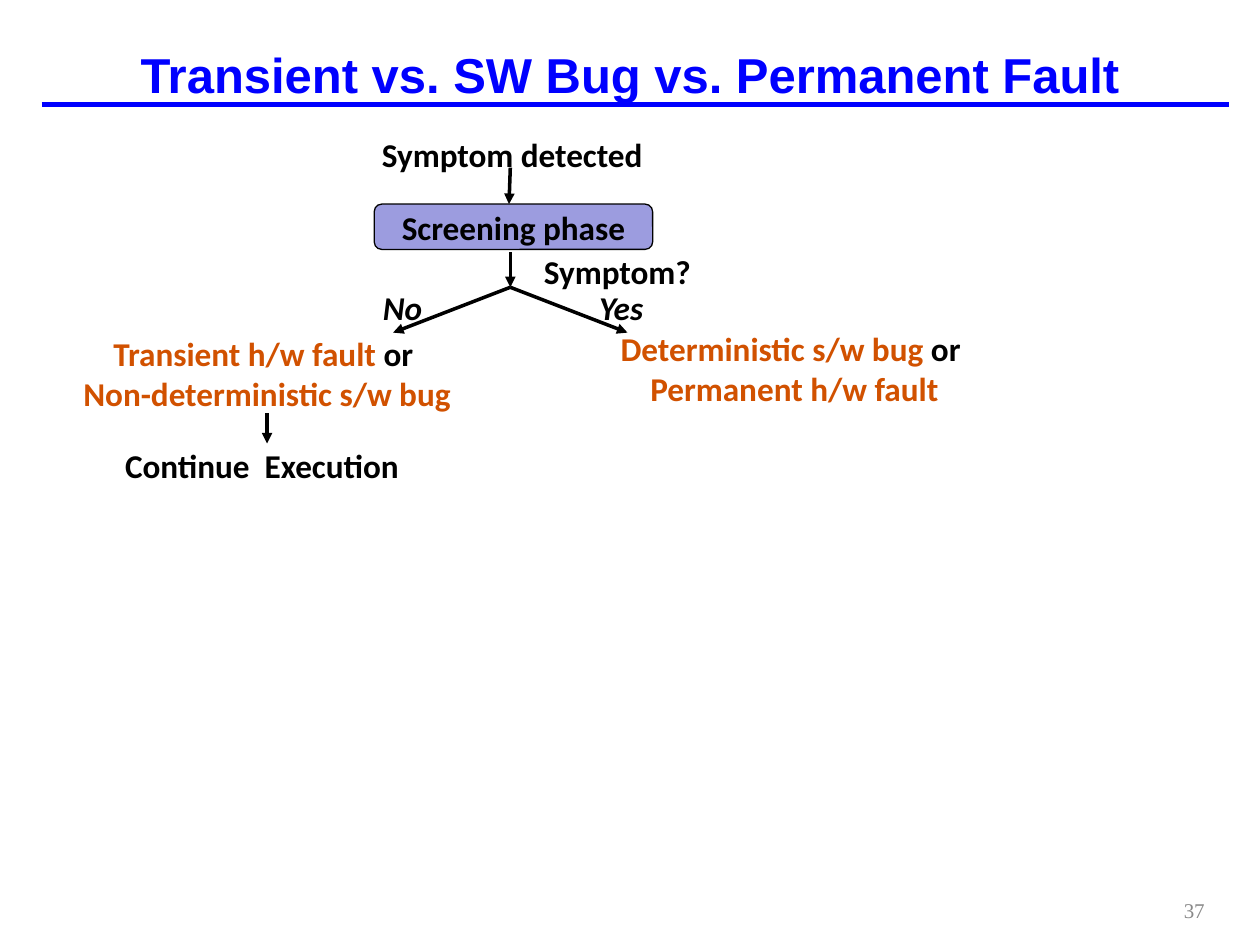
from pptx import Presentation
from pptx.dml.color import RGBColor as RGB
from pptx.enum.shapes import MSO_CONNECTOR as Conn, MSO_SHAPE as Kind
from pptx.enum.text import MSO_ANCHOR as Anchor, PP_ALIGN as Align
from pptx.oxml.ns import qn
from pptx.util import Inches, Pt
from lxml.etree import SubElement as Sub

WIDE, HIGH = 10, 7.5
BLUE, BLACK, RUST, GREY, LILAC = "0000FF", "000000", "D15100", "898989", "9C9CDF"
MID, LEFT = 4.05, 2.12
FORK, LEAF, SPAN = 2.28, 2.64, 0.93

TITLE = "Transient vs. SW Bug vs. Permanent Fault"
LABELS = [
    ("Symptom?", (4.05, 1.93, 1.7, 0.45), False),
    ("No", (2.19, 2.21, 2.01, 0.45), True),
    ("Yes", (4.51, 2.21, 0.84, 0.45), True),
    ("Symptom detected", (2.69, 1, 2.75, 0.45), False),
]
PHASE, HEX = Kind.FLOWCHART_ALTERNATE_PROCESS, Kind.HEXAGON
NODES = [
    (PHASE, (2.97, 1.62, 2.21, 0.36), LILAC, "Screening phase"),
    (PHASE, (0.98, 3.46, 2.2, 0.46), None, "Continue  Execution"),
    (HEX, (0.58, 2.64, 3.08, 0.65), None,
     [[("Transient h/w fault ", RUST), ("or ", BLACK)],
      [("Non-deterministic s/w bug", RUST)]]),
    (HEX, (5.17, 2.71, 2.27, 0.42), None,
     [[("Deterministic s/w bug ", RUST), ("or ", BLACK)],
      [("Permanent h/w fault", RUST)]]),
]
ARROWS = [
    ((MID, 1.33), (MID - 0.01, 1.62)),
    ((MID, 2), (MID, FORK)),
    ((MID, FORK), (MID - SPAN, LEAF)),
    ((MID, FORK), (MID + SPAN, LEAF)),
    ((LEFT, 3.28), (LEFT, 3.52)),
]

deck = Presentation()
deck.slide_width, deck.slide_height = Inches(WIDE), Inches(HIGH)
slide = deck.slides.add_slide(deck.slide_layouts[6])
shapes = slide.shapes


def tint(code):
    return RGB.from_string(code)


def write(text, box=None, shape=None, size=19, font="Calibri", color=BLACK,
          bold=True, italic=False, align=Align.CENTER, wrap=True):
    shape = shape or shapes.add_textbox(*map(Inches, box))
    frame = shape.text_frame
    frame.word_wrap = wrap
    frame.vertical_anchor = Anchor.MIDDLE
    rows = [[(text, color)]] if isinstance(text, str) else text
    for i, row in enumerate(rows):
        para = frame.add_paragraph() if i else frame.paragraphs[0]
        para.alignment = align
        for words, hue in row:
            run = para.add_run()
            run.text = words
            run.font.size, run.font.name = Pt(size), font
            run.font.bold, run.font.italic = bold, italic
            run.font.color.rgb = tint(hue)


def place(kind, box, fill, text):
    node = shapes.add_shape(kind, *map(Inches, box))
    node.shadow.inherit = False
    if kind == HEX:
        node.adjustments[0] = 0.4
    if fill:
        node.fill.solid()
        node.fill.fore_color.rgb = tint(fill)
        node.line.color.rgb = tint(BLACK)
        node.line.width = Pt(0.75)
    else:
        node.fill.background()
        node.line.fill.background()
    write(text, shape=node, wrap=False)


def draw(start, end, color=BLACK, width=2, head=True):
    line = shapes.add_connector(Conn.STRAIGHT, *map(Inches, start + end))
    line.line.color.rgb = tint(color)
    line.line.width = Pt(width)
    if head:
        Sub(line.line._get_or_add_ln(), qn("a:tailEnd"), type="triangle")
    Sub(line._element.spPr, qn("a:effectLst"))


draw((0.33, 0.83), (9.75, 0.83), color=BLUE, width=3, head=False)
write(TITLE, (0, 0.17, WIDE, 0.83), size=28, font="Arial", color=BLUE)

for text, box, slant in LABELS:
    write(text, box, italic=slant)
for node in NODES:
    place(*node)
for start, end in ARROWS:
    draw(start, end)

write("37", (7.33, 7.02, 2.33, 0.4), size=12, font="Times New Roman",
      color=GREY, bold=False, align=Align.RIGHT)
deck.save("out.pptx")
